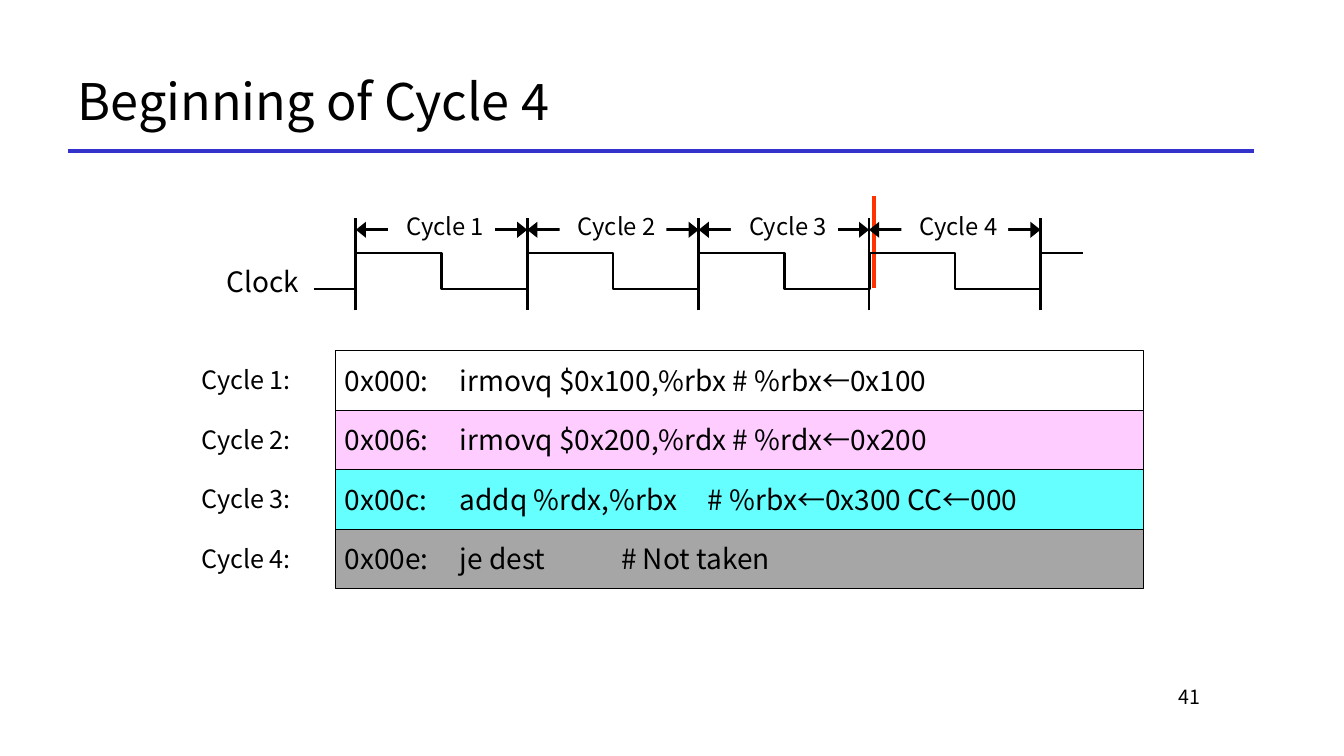
import dataclasses

import lxml.etree
import pptx
import pptx.dml.color
import pptx.enum.shapes
import pptx.enum.text
import pptx.oxml.ns
import pptx.shapes.autoshape
import pptx.shapes.shapetree
import pptx.text.text
import pptx.util

RGB = pptx.dml.color.RGBColor
BLACK = RGB(0x00, 0x00, 0x00)
WHITE = RGB(0xFF, 0xFF, 0xFF)
BLUE = RGB(0x33, 0x33, 0xCC)
RED = RGB(0xFF, 0x33, 0x00)
PINK = RGB(0xFF, 0xCC, 0xFF)
CYAN = RGB(0x66, 0xFF, 0xFF)
GRAY = RGB(0xA6, 0xA6, 0xA6)

FONT = "Noto Sans CJK KR"
SCALE = 9144  # EMU in one px, 100 px to the inch
EDGES = (353, 523, 693, 862, 1032)
HIGH, LOW = 251, 287
MID = 228
ROW_TOP, ROW_STEP = 348, 59

Tree = pptx.shapes.shapetree.SlideShapes
Point = tuple[int, int]


@dataclasses.dataclass(frozen=True)
class Step:
    """One row of the program; tab is where its remark starts, if set apart."""
    addr: str
    code: str
    fill: RGB
    tab: int = 0


STEPS = (
    Step("0x000:", "irmovq $0x100,%rbx # %rbx←0x100", WHITE),
    Step("0x006:", "irmovq $0x200,%rdx # %rdx←0x200", PINK),
    Step("0x00c:", "addq %rdx,%rbx\t# %rbx←0x300 CC←000", CYAN, 246),
    Step("0x00e:", "je dest\t# Not taken", GRAY, 160),
)


def px(size: int) -> pptx.util.Emu:
    return pptx.util.Emu(size * SCALE)


def add_run(para: pptx.text.text._Paragraph, text: str, size: int) -> None:
    run = para.add_run()
    run.text = text
    run.font.size = pptx.util.Pt(size)
    run.font.color.rgb = BLACK
    run.font.name = FONT
    props = run._r.get_or_add_rPr()
    lxml.etree.SubElement(props, pptx.oxml.ns.qn("a:ea"), typeface=FONT)


def add_label(tree: Tree, left: int, top: int, width: int, text: str,
              size: int, tab: int = 0) -> None:
    box = tree.add_textbox(px(left), px(top), px(width), px(31))
    frame = box.text_frame
    frame.word_wrap = True
    frame.auto_size = pptx.enum.text.MSO_AUTO_SIZE.SHAPE_TO_FIT_TEXT
    frame.margin_left = frame.margin_right = 0
    frame.margin_top = frame.margin_bottom = 0
    para = frame.paragraphs[0]
    if tab:
        props = para._p.get_or_add_pPr()
        stops = lxml.etree.SubElement(props, pptx.oxml.ns.qn("a:tabLst"))
        lxml.etree.SubElement(stops, pptx.oxml.ns.qn("a:tab"),
                              pos=str(px(tab)), algn="l")
    para.line_spacing = 0.9
    add_run(para, text, size)


def add_line(tree: Tree, start: Point, end: Point,
             color: RGB = BLACK, width: int = 0) -> None:
    line = tree.add_connector(pptx.enum.shapes.MSO_CONNECTOR.STRAIGHT,
                              px(start[0]), px(start[1]),
                              px(end[0]), px(end[1]))
    line.line.color.rgb = color
    line.line.width = pptx.util.Pt(width)
    lxml.etree.SubElement(line._element.spPr, pptx.oxml.ns.qn("a:effectLst"))


def add_rect(tree: Tree, left: int, top: int, width: int, height: int,
             fill: RGB) -> pptx.shapes.autoshape.Shape:
    rect = tree.add_shape(pptx.enum.shapes.MSO_SHAPE.RECTANGLE,
                          px(left), px(top), px(width), px(height))
    rect.shadow.inherit = False
    rect.fill.solid()
    rect.fill.fore_color.rgb = fill
    rect.line.fill.background()
    return rect


def add_path(tree: Tree, points: list[Point],
             closed: bool) -> pptx.shapes.autoshape.Shape:
    first, *rest = [(px(x), px(y)) for x, y in points]
    path = tree.build_freeform(*first)
    path.add_line_segments(rest, close=closed)
    shape = path.convert_to_shape()
    shape.shadow.inherit = False
    return shape


def add_head(tree: Tree, tip: int, back: int) -> None:
    """Draw an arrowhead with its tip and its back at these x values."""
    head = add_path(tree, [(back, MID - 8), (tip, MID), (back, MID + 8)], True)
    head.fill.solid()
    head.fill.fore_color.rgb = BLACK
    head.line.fill.background()


def add_wave(tree: Tree, edge: int) -> None:
    wave = add_path(tree, [
        (edge - 42, LOW), (edge, LOW), (edge, HIGH), (edge + 85, HIGH),
        (edge + 85, LOW), (edge + 170, LOW), (edge + 170, HIGH),
        (edge + 212, HIGH)], False)
    wave.fill.background()
    wave.line.color.rgb = BLACK
    wave.line.width = pptx.util.Pt(1.8)


def add_title(tree: Tree) -> None:
    title = tree.title
    title.left, title.top = px(67), px(50)
    title.width, title.height = px(1178), px(100)
    frame = title.text_frame
    frame.auto_size = pptx.enum.text.MSO_AUTO_SIZE.NONE
    frame.vertical_anchor = pptx.enum.text.MSO_ANCHOR.MIDDLE
    para = frame.paragraphs[0]
    para.alignment = pptx.enum.text.PP_ALIGN.LEFT
    add_run(para, "Beginning of Cycle 4", 36)
    add_line(tree, (67, 150), (1244, 150), BLUE, 3)


def add_page(tree: Tree) -> None:
    box = tree.add_textbox(px(1011), px(675), px(189), px(50))
    box.text_frame.word_wrap = True
    para = box.text_frame.paragraphs[0]
    para.alignment = pptx.enum.text.PP_ALIGN.RIGHT
    add_run(para, "41", 14)


def add_steps(tree: Tree) -> None:
    for i, step in enumerate(STEPS):
        top = ROW_TOP + i * ROW_STEP
        row = add_rect(tree, 333, top, 801, ROW_STEP, step.fill)
        row.line.color.rgb = BLACK
        row.line.width = pptx.util.Pt(0)
        add_label(tree, 342, top + 16, 90, step.addr, 20)
        add_label(tree, 456, top + 16, 587, step.code, 20, step.tab)
        add_label(tree, 200, top + 17, 94, f"Cycle {i + 1}:", 18)


def add_clock(tree: Tree) -> None:
    add_label(tree, 225, 266, 76, "Clock", 20)
    for i, (left, right) in enumerate(zip(EDGES, EDGES[1:]), 1):
        add_line(tree, (left + 9, MID), (right - 9, MID))
        add_head(tree, left, left + 10)
        add_head(tree, right, right - 10)
        add_rect(tree, left + 32, 204, 106, 42, WHITE)
        add_label(tree, left + 50, 213, 82, f"Cycle {i}", 17)
    for edge in EDGES:
        add_line(tree, (edge, 308), (edge, 216))
    for edge in EDGES[:-1]:
        add_wave(tree, edge)


def main() -> None:
    deck = pptx.Presentation()
    deck.slide_width, deck.slide_height = px(1333), px(750)
    tree = deck.slides.add_slide(deck.slide_layouts[5]).shapes
    add_title(tree)
    add_page(tree)
    add_line(tree, (867, 194), (867, 286), RED, 3)
    add_steps(tree)
    add_clock(tree)
    deck.save("out.pptx")


if __name__ == "__main__":
    main()
